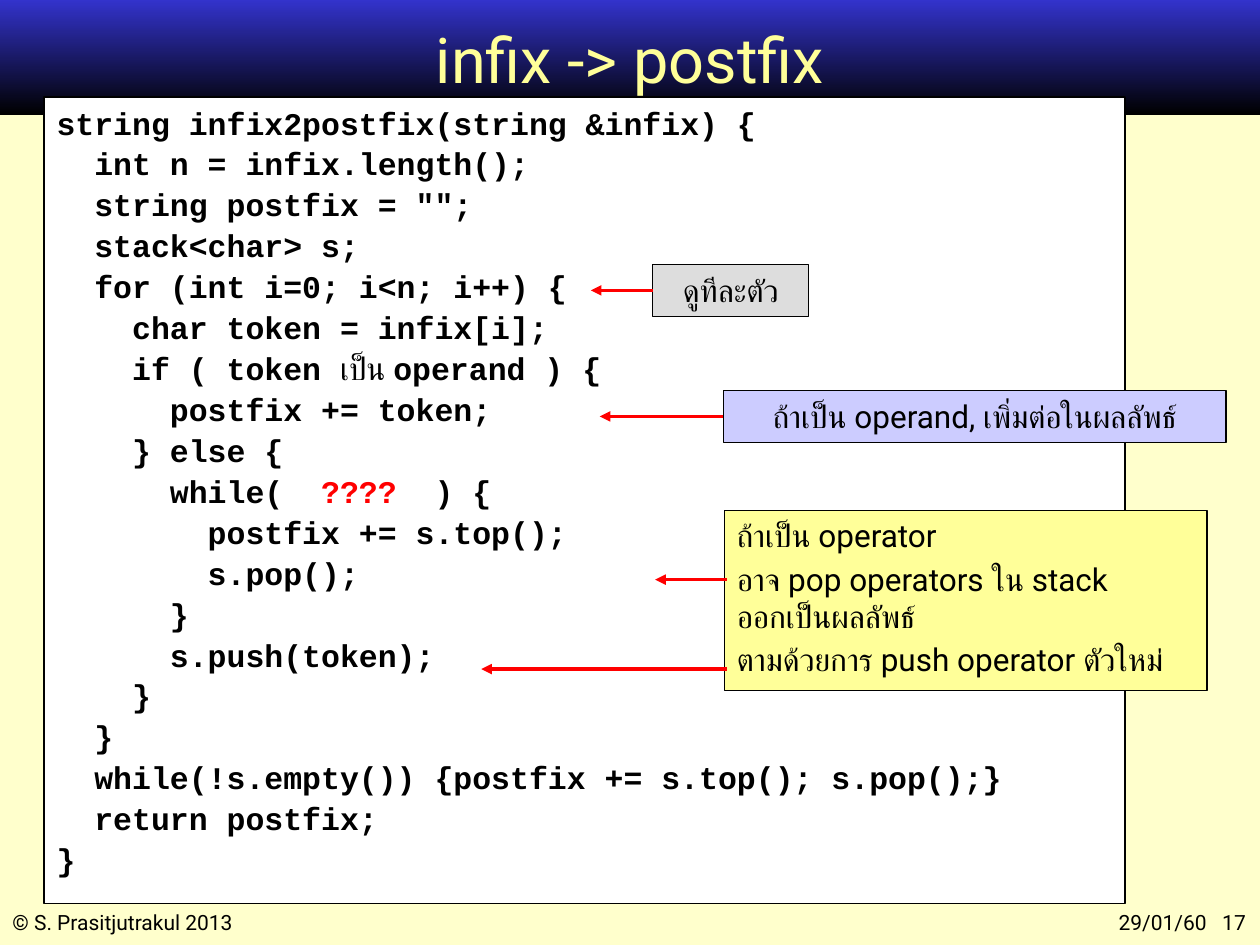
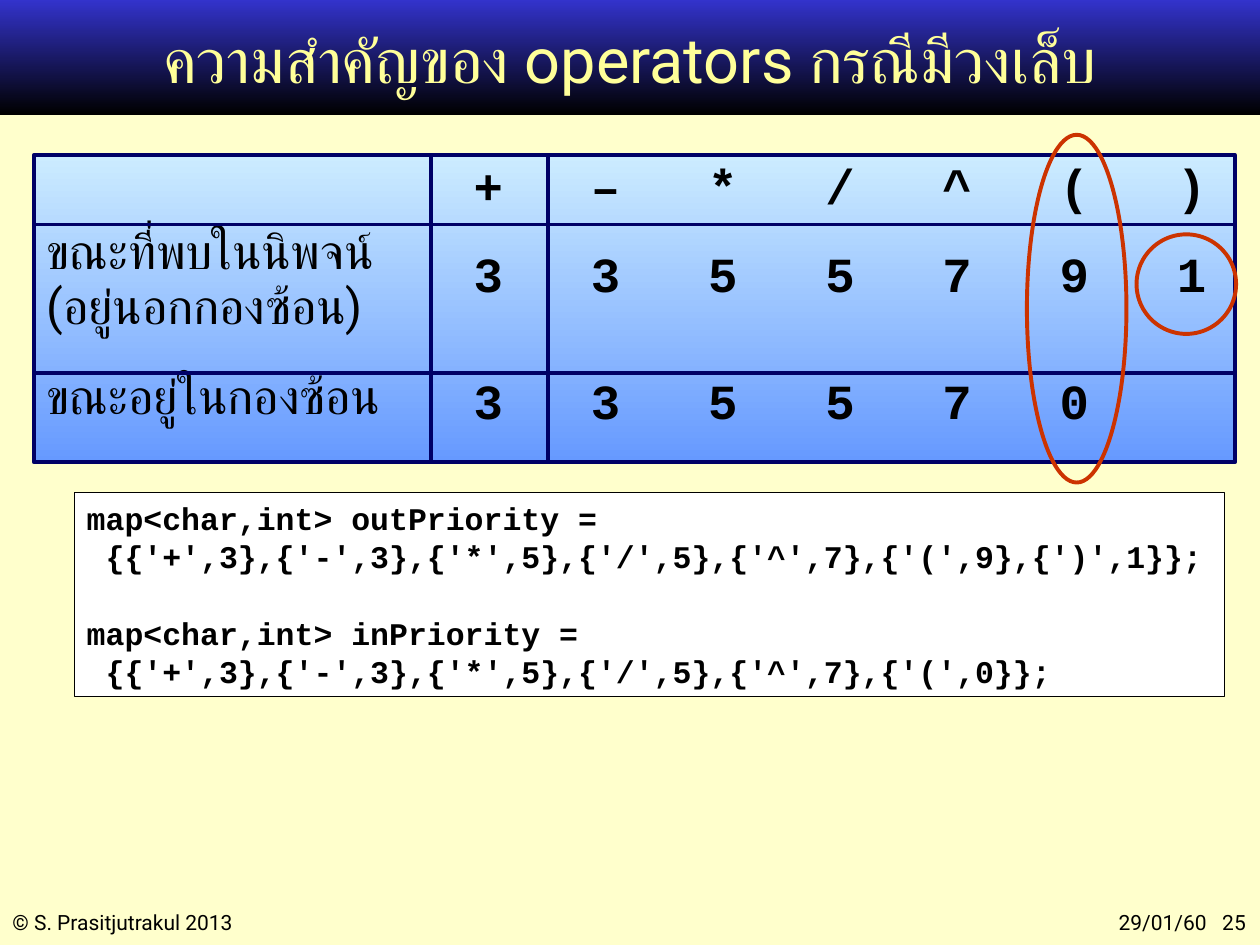
from lxml.etree import SubElement
from pptx import Presentation
from pptx.dml.color import RGBColor as Rgb
from pptx.enum.shapes import MSO_CONNECTOR as Conn, MSO_SHAPE as Form
from pptx.enum.text import MSO_ANCHOR as Anchor, PP_ALIGN as Align
from pptx.oxml.ns import qn
from pptx.util import Inches, Pt

HUES = {
    "page": "FFFFCC", "blue": "3333CC", "black": "000000", "title": "FFFF99",
    "white": "FFFFFF", "grey": "DDDDDD", "lilac": "CCCCFF", "red": "FF0000",
    "sky": "CCECFF", "deep": "6699FF", "navy": "000066", "rust": "CC3300",
}
SANS, MONO = "Roboto", "Courier New"
NO_GRID = "{2D5ABB26-0587-4C30-8999-92F81FD0307C}"

CONVERT = """string infix2postfix(string &infix) {
  int n = infix.length();
  string postfix = "";
  stack<char> s;
  for (int i=0; i<n; i++) {
    char token = infix[i];
    if ( token |เป็น |operand ) {
      postfix += token;
    } else {
      while( | ????  |) {
        postfix += s.top();
        s.pop();
      }
      s.push(token);
    }
  }
  while(!s.empty()) {postfix += s.top(); s.pop();}
  return postfix;
}"""
MAPS = """map<char,int> outPriority =
 {{'+',3},{'-',3},{'*',5},{'/',5},{'^',7},{'(',9},{')',1}};
map<char,int> inPriority =
 {{'+',3},{'-',3},{'*',5},{'/',5},{'^',7},{'(',0}};"""
RANKS = [
    ("", "+–*/^()"),
    ("ขณะที่พบในนิพจน์\v(อยู่นอกกองซ้อน)", "3355791"),
    ("ขณะอยู่ในกองซ้อน", "335570"),
]


def hue(name):
    """Return the named colour."""
    return Rgb.from_string(HUES[name])


class Deck:
    """Hold the style and the current slide."""

    def __init__(self):
        """Start an empty deck."""
        self.prs = Presentation()
        self.prs.slide_width, self.prs.slide_height = Inches(10), Inches(7.5)

    def page(self, title, num):
        """Add a slide with its band, title and footers."""
        self.slide = self.prs.slides.add_slide(self.prs.slide_layouts[6])
        self.shapes = self.slide.shapes
        back = self.slide.background.fill
        back.solid()
        back.fore_color.rgb = hue("page")
        self.shape((0, 0, 10, 0.91), ("blue", "black"))
        self.text((0, 7.17, 3.25, 0.3), "© S. Prasitjutrakul 2013", 12)
        foot = self.text((7.83, 7.17, 2.17, 0.3), f"\t29/01/60\t{num}", 12)
        self.tabs(foot.text_frame.paragraphs[0], (1.65, 1.96))
        head = self.text((0.75, 0.05, 8.5, 0.83), title, 36, "title", Align.CENTER)
        head.text_frame.vertical_anchor = Anchor.MIDDLE

    def tabs(self, para, stops):
        """Give a paragraph right tab stops."""
        stem = SubElement(para._p.get_or_add_pPr(), qn("a:tabLst"))
        for stop in stops:
            SubElement(stem, qn("a:tab"), pos=str(Inches(stop)), algn="r")

    def shape(self, at, fill=None, line=None, width=0.75, form=Form.RECTANGLE):
        """Add a preset shape with a plain, graded or empty fill."""
        item = self.shapes.add_shape(form, *map(Inches, at))
        item.shadow.inherit = False
        if isinstance(fill, tuple):
            item.fill.gradient()
            item.fill.gradient_angle = 270
            for stop, name in zip(item.fill.gradient_stops, fill):
                stop.color.rgb = hue(name)
        elif fill:
            item.fill.solid()
            item.fill.fore_color.rgb = hue(fill)
        else:
            item.fill.background()
        if line:
            item.line.color.rgb = hue(line)
            item.line.width = Pt(width)
        else:
            item.line.fill.background()
        return item

    def style(self, para, size, ink="black", face=SANS, bold=False):
        """Format every run of a paragraph."""
        for run in para.runs:
            font = run.font
            font.size, font.name, font.bold = Pt(size), face, bold
            font.color.rgb = hue(ink)

    def text(self, at, words, size, ink="black", align=Align.LEFT):
        """Add a wrapped text box."""
        box = self.shapes.add_textbox(*map(Inches, at))
        box.text_frame.word_wrap = True
        para = box.text_frame.paragraphs[0]
        para.text, para.alignment = words, align
        self.style(para, size, ink)
        return box

    def note(self, at, lines, fill, align=Align.CENTER):
        """Add a framed remark."""
        box = self.shape(at, fill, "black")
        frame = box.text_frame
        frame.vertical_anchor = Anchor.TOP
        frame.text = "\n".join(lines)
        for i, para in enumerate(frame.paragraphs):
            para.alignment = align
            para.space_before = Pt(3 if i else 0)
            self.style(para, 18)
        return box

    def code(self, at, source, gap=0):
        """Add a framed listing, indented by depth, and return its paragraphs."""
        frame = self.shape(at, "white", "black").text_frame
        frame.vertical_anchor = Anchor.TOP
        for i, line in enumerate(source.split("\n")):
            para = frame.add_paragraph() if i else frame.paragraphs[0]
            bare = line.lstrip()
            depth = len(line) - len(bare)
            para._p.get_or_add_pPr().set("marL", str(Inches(0.15 * depth)))
            para.alignment = Align.LEFT
            para.line_spacing, para.space_before = Pt(21.8), Pt(gap if i else 0)
            for part in bare.split("|"):
                para.add_run().text = part
            self.style(para, 18, face=MONO, bold=True)
        return frame.paragraphs

    def arrow(self, start, end, box=None):
        """Draw a red arrow, joined to the left side of a box if given."""
        line = self.shapes.add_connector(
            Conn.STRAIGHT, *map(Inches, start + end))
        if box:
            line.begin_connect(box, 1)
            line.end_y = line.begin_y
        line.line.color.rgb = hue("red")
        line.line.width = Pt(2)
        SubElement(line.line._get_or_add_ln(), qn("a:tailEnd"), type="triangle")
        SubElement(line._element.spPr, qn("a:effectLst"))

    def edge(self, cell, side):
        """Draw one navy border of a cell."""
        line = SubElement(cell._tc.get_or_add_tcPr(), qn(f"a:{side}"), w=str(Pt(2.25)))
        paint = SubElement(line, qn("a:solidFill"))
        SubElement(paint, qn("a:srgbClr"), val=HUES["navy"])

    def cell(self, cell, words, left, top, face, bold):
        """Fill one clear table cell."""
        cell.margin_left, cell.margin_top = Inches(left), Inches(top)
        cell.margin_right = cell.margin_bottom = 0
        para = cell.text_frame.paragraphs[0]
        para.text = words
        para.font.size = Pt(28)
        self.style(para, 28, face=face, bold=bold)

    def table(self, at, rows, wide, high, tops):
        """Add a clear table with navy inner rules over a graded panel."""
        self.shape(at, ("sky", "deep"), "navy", 2.25)
        item = self.shapes.add_table(len(rows), len(wide), *map(Inches, at))
        grid = item.table
        grid.first_row = grid.horz_banding = False
        grid._tbl.tblPr.find(qn("a:tableStyleId")).text = NO_GRID
        for col, size in zip(grid.columns, wide):
            col.width = Inches(size)
        for r, (label, marks) in enumerate(rows):
            grid.rows[r].height = Inches(high[r])
            words = [label, *marks.ljust(len(wide) - 1)]
            for c, word in enumerate(words):
                cell = grid.cell(r, c)
                if c:
                    self.cell(cell, word.strip(), 0.34, tops[r][1], MONO, True)
                else:
                    self.cell(cell, word, 0.1, tops[r][0], SANS, False)
                    self.edge(cell, "lnR")
                if c == 1:
                    self.edge(cell, "lnL")
                if r:
                    self.edge(cell, "lnT")
                if r < len(rows) - 1:
                    self.edge(cell, "lnB")
                cell.fill.background()

    def ring(self, at):
        """Circle a spot in rust."""
        self.shape(at, None, "rust", 2.25, Form.OVAL)


def convert(deck):
    """Build the conversion slide."""
    deck.page("infix -> postfix", 17)
    lines = deck.code((0.35, 0.77, 8.58, 6.4), CONVERT, 1.6)
    thai = lines[6].runs[1].font
    thai.name, thai.bold = SANS, False
    lines[9].runs[1].font.color.rgb = hue("red")
    each = deck.note((5.18, 2.1, 1.24, 0.41), ["ดูทีละตัว"], "grey")
    deck.arrow((5.18, 2.3), (4.69, 2.3), each)
    value = deck.note((5.74, 3.1, 3.99, 0.41),
                      ["ถ้าเป็น operand, เพิ่มต่อในผลลัพธ์"], "lilac")
    deck.arrow((5.74, 3.3), (4.76, 3.3), value)
    deck.note((5.75, 4.05, 3.83, 1.43), [
        "ถ้าเป็น operator",
        "อาจ pop operators ใน stack\vออกเป็นผลลัพธ์",
        "ตามด้วยการ push operator ตัวใหม่",
    ], "title", Align.LEFT)
    for y, tip in ((4.6, 5.2), (5.31, 3.82)):
        deck.arrow((5.77, y), (tip, y))


def rank(deck):
    """Build the priority slide."""
    deck.page("ความสำคัญของ operators กรณีมีวงเล็บ", 25)
    deck.table((0.27, 1.23, 9.53, 2.44), RANKS,
               [3.15] + [0.93] * 6 + [0.8], [0.55, 1.18, 0.71],
               [(0.05, 0.07), (0.05, 0.22), (0.02, 0.05)])
    deck.ring((8.15, 1.07, 0.79, 2.76))
    deck.ring((9.02, 1.86, 0.79, 0.79))
    lines = deck.code((0.59, 3.91, 9.13, 1.62), MAPS)
    lines[2].space_before = Pt(21.8)


def main():
    """Build and save the deck."""
    deck = Deck()
    convert(deck)
    rank(deck)
    deck.prs.save("out.pptx")


if __name__ == "__main__":
    main()
